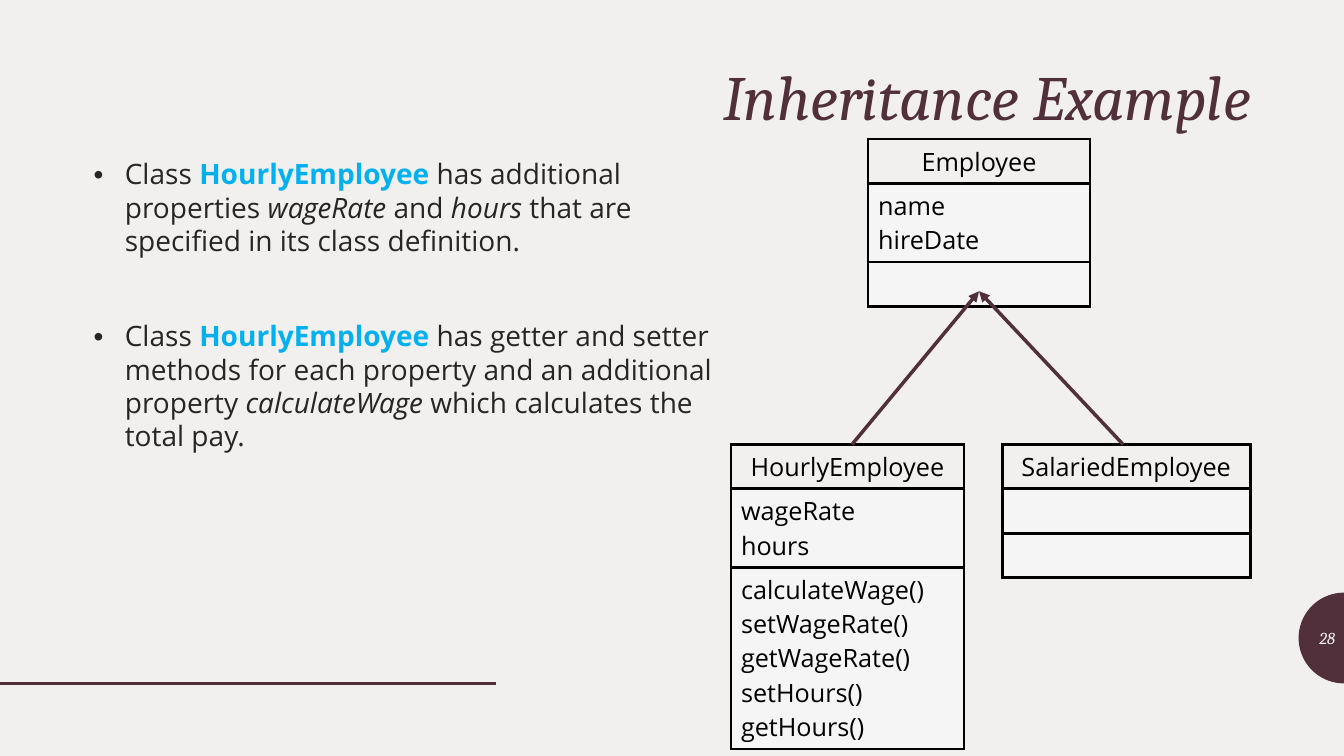
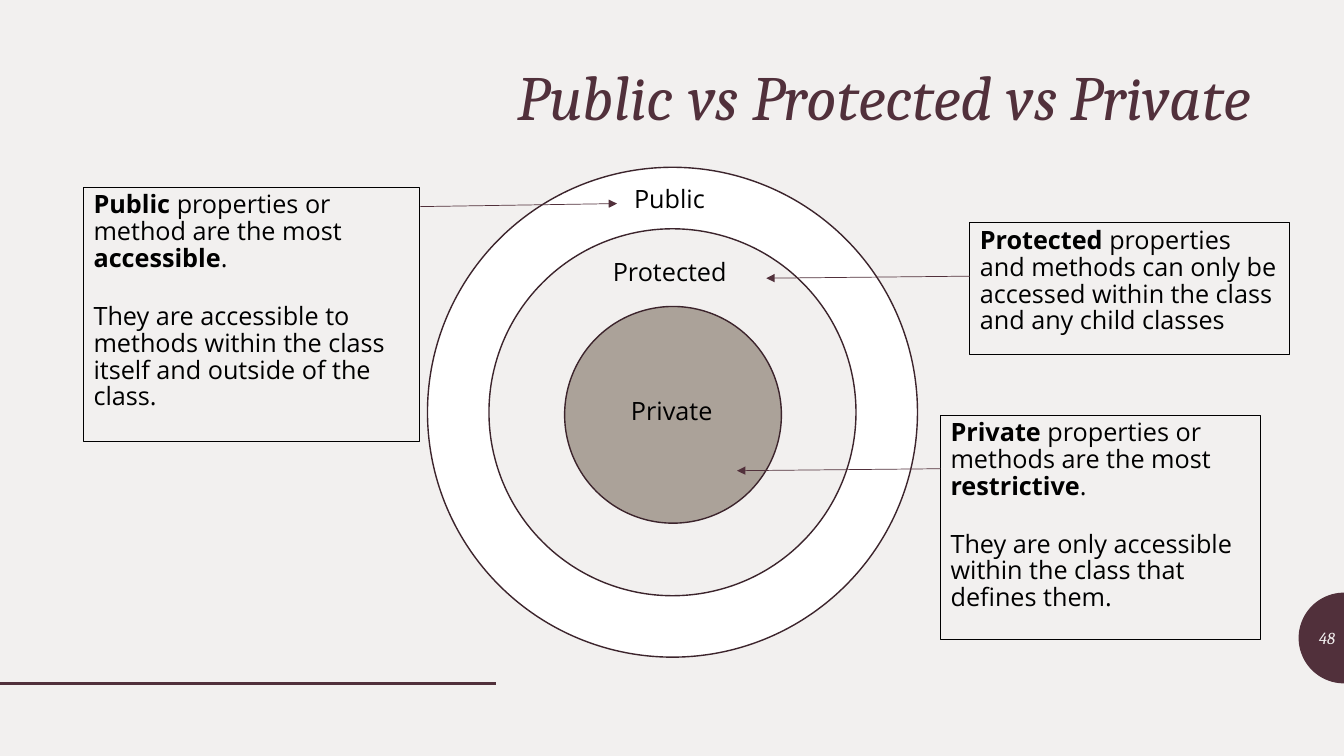
"""Build two slides on class inheritance and member visibility."""
import math

from lxml import etree
from pptx import Presentation
from pptx import util as u
from pptx.dml.color import RGBColor
from pptx.enum import shapes, text
from pptx.oxml import ns

COLORS = {"paper": "F2F0EF", "plum": "51303B", "outline": "3C242C", "ink": "262626",
          "black": "000000", "blue": "00B0F0", "white": "FFFFFF", "cell": "F5F5F5",
          "taupe": "ABA299"}
SLIDE_SIZE = (13.33, 7.5)
HEADING, BODY = "Cambria", "Open Sans"
LINE_HEIGHT, CELL_PADDING = 0.34, 0.1

PLAIN, BOLD, ITALIC = {}, {"bold": True}, {"italic": True}
CLASS_NAME = {"bold": True, "color": "blue"}
TITLE_STYLE = {"name": HEADING, "size": 45, "italic": True, "color": "plum"}
NUMBER_STYLE = {"name": HEADING, "size": 12, "italic": True, "color": "paper"}
BULLET_STYLE = {"name": BODY, "size": 20, "color": "ink"}
LABEL_STYLE = {"name": BODY, "size": 18, "color": "black"}

BULLETS = [
    [("Class ", PLAIN), ("HourlyEmployee ", CLASS_NAME), ("has additional properties ", PLAIN),
     ("wageRate", ITALIC), (" and ", PLAIN), ("hours", ITALIC),
     (" that are specified in its class definition.", PLAIN)],
    [("Class ", PLAIN), ("HourlyEmployee ", CLASS_NAME),
     ("has getter and setter methods for each property and an additional property ", PLAIN),
     ("calculateWage", ITALIC), (" which calculates the total pay.", PLAIN)],
]
CLASS_TABLES = [
    ((8.61, 1.38, 2.2), "Employee", ["name", "hireDate"], []),
    ((7.25, 4.41, 2.31), "HourlyEmployee", ["wageRate", "hours"],
     ["calculateWage()", "setWageRate()", "getWageRate()", "setHours()", "getHours()"]),
    ((9.94, 4.41, 2.46), "SalariedEmployee", [], []),
]
INHERITANCE_ARROWS = [((8.45, 4.41), (9.71, 2.89)), ((11.14, 4.41), (9.71, 2.89))]

RINGS = [
    ((4.24, 1.66), 4.86, "white", "Public", (6.19, 1.81, 0.95, 0.4)),
    ((4.85, 2.27), 3.64, "paper", "Protected", (5.98, 2.53, 1.37, 0.4)),
    ((5.6, 3.04), 2.15, "taupe", "Private", (6.16, 3.91, 1.03, 0.4)),
]
CALLOUTS = [
    ((0.83, 1.86, 3.33, 2.52), ((4.17, 2.05), (6.12, 2.02)), [
        [("Public", BOLD), (" properties or method are the most ", PLAIN),
         ("accessible", BOLD), (".", PLAIN)],
        [("They are accessible to methods within the class itself and outside of the class.",
          PLAIN)]]),
    ((9.62, 2.21, 3.17, 1.31), ((9.62, 2.74), (7.6, 2.76)), [
        [("Protected", BOLD),
         (" properties and methods can only be accessed within the class and any child classes",
          PLAIN)]]),
    ((9.33, 4.12, 3.17, 2.22), ((9.33, 4.65), (7.31, 4.67)), [
        [("Private", BOLD), (" properties or methods are the most ", PLAIN),
         ("restrictive", BOLD), (".", PLAIN)],
        [("They are only accessible within the class that defines them.", PLAIN)]]),
]


def rgb(name):
    return RGBColor.from_string(COLORS[name])


def inches(*values):
    return [u.Inches(value) for value in values]


def write(frame, paragraphs, style, gap=0, **paragraph_format):
    """Fill a text frame; the gap in points parts its paragraphs."""
    for index, runs in enumerate(paragraphs):
        paragraph = frame.paragraphs[0] if index == 0 else frame.add_paragraph()
        paragraph.space_before = u.Pt(gap if index else 0)
        for key, value in paragraph_format.items():
            setattr(paragraph, key, value)
        for words, extra in runs:
            run = paragraph.add_run()
            run.text = words
            for key, value in {**style, **extra}.items():
                if key == "color":
                    run.font.color.rgb = rgb(value)
                else:
                    setattr(run.font, key, u.Pt(value) if key == "size" else value)


def add_text(parent, box, paragraphs, style, anchor=text.MSO_ANCHOR.TOP, wrap=True, **layout):
    shape = parent.add_textbox(*inches(*box))
    shape.text_frame.word_wrap = wrap
    shape.text_frame.vertical_anchor = anchor
    write(shape.text_frame, paragraphs, style, **layout)
    return shape


def add_line(slide, start, end, width, arrow=False):
    line = slide.shapes.add_connector(shapes.MSO_CONNECTOR.STRAIGHT, *inches(*start, *end))
    line.line.color.rgb = rgb("plum")
    line.line.width = u.Pt(width)
    if arrow:
        etree.SubElement(line.line._get_or_add_ln(), ns.qn("a:tailEnd"), type="triangle")
    etree.SubElement(line._element.spPr, ns.qn("a:effectLst"))


def add_slide(presentation, title, number):
    """Add a slide with the shared title, footer line and page disc."""
    slide = presentation.slides.add_slide(presentation.slide_layouts[6])
    center_x, center_y, radius = SLIDE_SIZE[0], 6.33, 0.45
    angles = [math.pi * (0.5 + step / 48) for step in range(49)]
    points = [(u.Inches(center_x + radius * math.cos(angle)),
               u.Inches(center_y + radius * math.sin(angle))) for angle in angles]
    builder = slide.shapes.build_freeform(*points[0], scale=1.0)
    builder.add_line_segments(points[1:], close=True)
    disc = builder.convert_to_shape()
    disc.shadow.inherit = False
    disc.fill.solid()
    disc.fill.fore_color.rgb = rgb("plum")
    disc.line.fill.background()
    add_line(slide, (0, 6.78), (4.92, 6.78), 2)
    right = text.PP_ALIGN.RIGHT
    middle = text.MSO_ANCHOR.MIDDLE
    add_text(slide.shapes, (0.83, 0.61, 11.67, 0.76), [[(title, PLAIN)]], TITLE_STYLE,
             middle, alignment=right, line_spacing=0.9)
    add_text(slide.shapes, (12.89, 6.13, 0.45, 0.4), [[(number, PLAIN)]], NUMBER_STYLE,
             middle, alignment=right)
    return slide


def add_borders(cell):
    properties = cell._tc.get_or_add_tcPr()
    for index, side in enumerate(("lnL", "lnR", "lnT", "lnB")):
        border = etree.Element(ns.qn(f"a:{side}"), w=str(u.Pt(2.25)))
        fill = etree.SubElement(border, ns.qn("a:solidFill"))
        etree.SubElement(fill, ns.qn("a:srgbClr"), val=COLORS["black"])
        properties.insert(index, border)


def add_class_table(slide, place, name, fields, methods):
    left, top, width = place
    sections = [[name], fields, methods]
    heights = [CELL_PADDING + LINE_HEIGHT * max(1, len(lines)) for lines in sections]
    table = slide.shapes.add_table(3, 1, *inches(left, top, width, sum(heights))).table
    table.first_row = table.horz_banding = False
    for index, (lines, height) in enumerate(zip(sections, heights)):
        table.rows[index].height = u.Inches(height)
        cell = table.cell(index, 0)
        if index:
            cell.fill.solid()
            cell.fill.fore_color.rgb = rgb("cell")
        else:
            cell.fill.background()
        write(cell.text_frame, [[(line, PLAIN)] for line in lines], LABEL_STYLE,
              alignment=text.PP_ALIGN.LEFT if index else text.PP_ALIGN.CENTER)
        add_borders(cell)


def add_inheritance(presentation):
    slide = add_slide(presentation, "Inheritance Example", "28")
    body = add_text(slide.shapes, (0.83, 1.52, 6.52, 5.14), BULLETS, BULLET_STYLE,
                    gap=44.5, line_spacing=0.99)
    for paragraph in body.text_frame.paragraphs:
        properties = paragraph._p.get_or_add_pPr()
        properties.set("marL", str(u.Inches(0.31)))
        properties.set("indent", str(u.Inches(-0.31)))
        etree.SubElement(properties, ns.qn("a:buFont"), typeface="Arial")
        etree.SubElement(properties, ns.qn("a:buChar"), char="•")
    for class_table in CLASS_TABLES:
        add_class_table(slide, *class_table)
    for start, end in INHERITANCE_ARROWS:
        add_line(slide, start, end, 2.5, arrow=True)


def add_visibility(presentation):
    slide = add_slide(presentation, "Public vs Protected vs Private", "48")
    diagram = slide.shapes.add_group_shape().shapes
    for corner, size, color, label, label_box in RINGS:
        ring = diagram.add_shape(shapes.MSO_SHAPE.OVAL, *inches(*corner, size, size))
        ring.shadow.inherit = False
        ring.fill.solid()
        ring.fill.fore_color.rgb = rgb(color)
        ring.line.color.rgb = rgb("outline")
        ring.line.width = u.Pt(1)
        add_text(diagram, label_box, [[(label, PLAIN)]], LABEL_STYLE, wrap=False,
                 line_spacing=0.89)
    for box, (start, end), paragraphs in CALLOUTS:
        callout = add_text(slide.shapes, box, paragraphs, LABEL_STYLE, gap=21.8,
                           line_spacing=0.89)
        callout.line.color.rgb = rgb("black")
        callout.line.width = u.Pt(0.75)
        add_line(slide, start, end, 0.5, arrow=True)


def main():
    presentation = Presentation()
    presentation.slide_width, presentation.slide_height = inches(*SLIDE_SIZE)
    background = presentation.slide_master.background.fill
    background.solid()
    background.fore_color.rgb = rgb("paper")
    add_inheritance(presentation)
    add_visibility(presentation)
    presentation.save("out.pptx")


if __name__ == "__main__":
    main()
